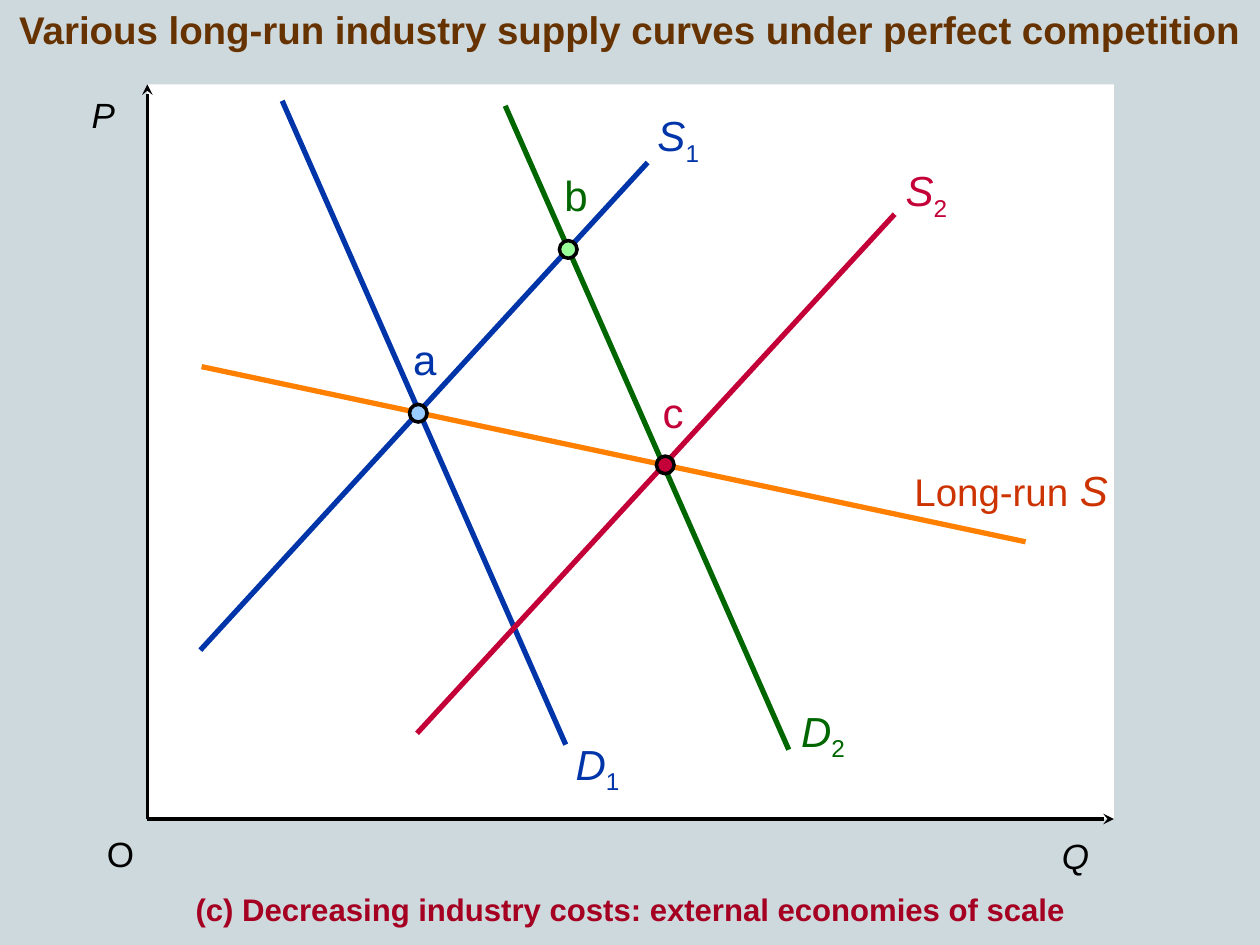
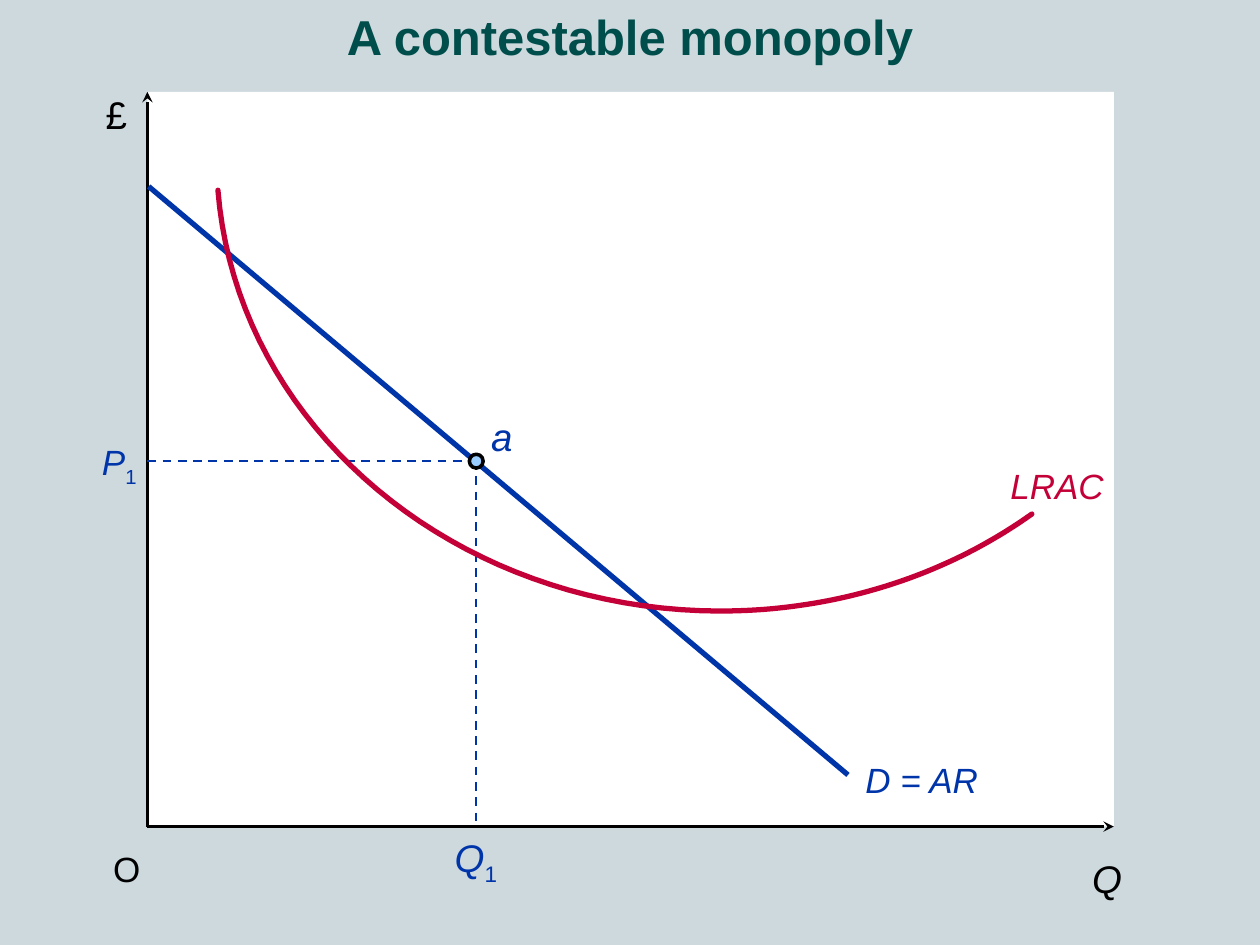
from lxml.etree import SubElement
from pptx import Presentation
from pptx.dml.color import RGBColor
from pptx.enum.dml import MSO_LINE
from pptx.enum.shapes import MSO_CONNECTOR, MSO_SHAPE
from pptx.enum.text import MSO_ANCHOR, MSO_AUTO_SIZE, PP_ALIGN
from pptx.oxml.ns import qn
from pptx.util import Inches, Pt

FONT = "Arial"
BACKGROUND = "CED9DE"
BLACK, WHITE = "000000", "FFFFFF"
BLUE, RED, GREEN = "0035AA", "C40038", "006600"
ORANGE, RUST = "FF8000", "CC3300"
LIGHT_BLUE, LIGHT_GREEN = "99CCFF", "99FF99"
PLOT_LEFT, PLOT_WIDTH, PLOT_HEIGHT = 1.17, 7.67, 5.83
CURVE_WIDTH, AXIS_WIDTH, GUIDE_WIDTH = 3, 2, 1.25
DOT_SIZE = 0.14


def color(hex_value):
    return RGBColor.from_string(hex_value)


def set_values(target, values):
    for name, value in values.items():
        setattr(target, name, value)


def add_slide(presentation):
    slide = presentation.slides.add_slide(presentation.slide_layouts[6])
    slide.background.fill.solid()
    slide.background.fill.fore_color.rgb = color(BACKGROUND)
    return slide


def style_line(line, hex_value, width):
    line.color.rgb = color(hex_value)
    line.width = Pt(width)


def add_text_shadow(run):
    fill = run._r.get_or_add_rPr().find(qn("a:solidFill"))
    effects = SubElement(fill.getparent(), qn("a:effectLst"))
    shadow = SubElement(effects, qn("a:outerShdw"), dist="25400", dir="2700000")
    SubElement(shadow, qn("a:srgbClr"), val=BLACK)
    fill.addnext(effects)


def part(text, size, hex_value, italic=False, bold=False, baseline=None):
    values = {"size": Pt(size), "italic": italic, "bold": bold}
    return text, hex_value, values, baseline


def symbol(letter, size, hex_value, subscript=None, italic=True):
    parts = [part(letter, size, hex_value, italic)]
    if subscript:
        parts.append(part(subscript, size, hex_value, baseline="-25000"))
    return parts


def add_text(slide, box, parts, wrap=False, alignment=PP_ALIGN.LEFT, shadow=False):
    shape = slide.shapes.add_textbox(*map(Inches, box))
    frame = shape.text_frame
    set_values(frame, {"word_wrap": wrap, "auto_size": MSO_AUTO_SIZE.SHAPE_TO_FIT_TEXT})
    paragraph = frame.paragraphs[0]
    paragraph.alignment = alignment
    for text, hex_value, values, baseline in parts:
        run = paragraph.add_run()
        run.text = text
        set_values(run.font, values)
        run.font.color.rgb = color(hex_value)
        if shadow:
            add_text_shadow(run)
        run.font.name = FONT
        if baseline:
            run._r.get_or_add_rPr().set("baseline", baseline)
    return frame


def add_heading(slide, text, size, hex_value, top, height):
    parts = [part(text, size, hex_value, bold=True)]
    return add_text(slide, (0, top, 10, height), parts, True, PP_ALIGN.CENTER, True)


def add_caption(slide, text):
    frame = add_heading(slide, text, 17.8, "A50021", 7.03, 0.42)
    set_values(frame, {"auto_size": MSO_AUTO_SIZE.NONE,
                       "vertical_anchor": MSO_ANCHOR.MIDDLE})
    frame.paragraphs[0].line_spacing = 0.8


def add_line(slide, start, end, hex_value, width=CURVE_WIDTH, arrow=False, dash=None):
    connector = slide.shapes.add_connector(
        MSO_CONNECTOR.STRAIGHT, *map(Inches, (*start, *end)))
    style_line(connector.line, hex_value, width)
    if dash:
        connector.line.dash_style = dash
    if arrow:
        SubElement(connector.line._get_or_add_ln(), qn("a:tailEnd"), type="stealth")
    SubElement(connector._element.spPr, qn("a:effectLst"))


def add_filled_shape(slide, kind, box, hex_value):
    shape = slide.shapes.add_shape(kind, *map(Inches, box))
    shape.shadow.inherit = False
    shape.fill.solid()
    shape.fill.fore_color.rgb = color(hex_value)
    shape.line.fill.background()
    return shape


def add_plot(slide, top):
    bottom, right = top + PLOT_HEIGHT, PLOT_LEFT + PLOT_WIDTH
    add_filled_shape(slide, MSO_SHAPE.RECTANGLE,
                     (PLOT_LEFT, top, PLOT_WIDTH, PLOT_HEIGHT), WHITE)
    for end in ((PLOT_LEFT, top), (right, bottom)):
        add_line(slide, (PLOT_LEFT, bottom), end, BLACK, AXIS_WIDTH, arrow=True)


def add_dot(slide, center, hex_value, size=DOT_SIZE):
    x, y = center
    box = (x - size / 2, y - size / 2, size, size)
    dot = add_filled_shape(slide, MSO_SHAPE.OVAL, box, hex_value)
    style_line(dot.line, BLACK, AXIS_WIDTH)


def bezier_points(controls, steps=40):
    for step in range(1, steps + 1):
        t = step / steps
        weights = ((1 - t) ** 3, 3 * t * (1 - t) ** 2, 3 * t * t * (1 - t), t ** 3)
        yield tuple(Inches(sum(w * value for w, value in zip(weights, axis)))
                    for axis in zip(*controls))


def add_curve(slide, knots, hex_value):
    builder = slide.shapes.build_freeform(*map(Inches, knots[0]))
    for first in range(0, len(knots) - 1, 3):
        builder.add_line_segments(bezier_points(knots[first:first + 4]), close=False)
    curve = builder.convert_to_shape()
    curve.shadow.inherit = False
    curve.fill.background()
    style_line(curve.line, hex_value, CURVE_WIDTH)
    curve.line._get_or_add_ln().set("cap", "rnd")


def build_industry_supply(presentation):
    slide = add_slide(presentation)
    add_plot(slide, 0.67)
    for start, end, hex_value in (
        ((1.6, 2.91), (8.14, 4.3), ORANGE),
        ((2.24, 0.8), (4.49, 5.91), BLUE),
        ((1.59, 5.16), (5.14, 1.29), BLUE),
        ((3.31, 5.82), (7.1, 1.7), RED),
        ((4.01, 0.84), (6.26, 5.95), GREEN),
    ):
        add_line(slide, start, end, hex_value)
    add_text(slide, (7.16, 3.64, 1.83, 0.5),
             [part("Long-run", 22, RUST), part(" S", 24, RUST, italic=True)])
    for letter, box, italic in (
        ("P", (0.63, 0.69, 0.47, 0.43), True),
        ("Q", (8.33, 6.57, 0.5, 0.43), True),
        ("O", (0.75, 6.56, 0.42, 0.43), False),
    ):
        add_text(slide, box, symbol(letter, 20, BLACK, italic=italic))
    for letter, subscript, left, top, width, hex_value in (
        ("S", "1", 5.12, 0.82, 0.53, BLUE),
        ("D", "1", 4.47, 5.81, 0.55, BLUE),
        ("S", "2", 7.09, 1.26, 0.53, RED),
        ("D", "2", 6.26, 5.55, 0.55, GREEN),
    ):
        add_text(slide, (left, top, width, 0.56),
                 symbol(letter, 24, hex_value, subscript))
    for letter, center, left, top, fill, hex_value in (
        ("a", (3.32, 3.28), 3.18, 2.6, LIGHT_BLUE, BLUE),
        ("b", (4.51, 1.98), 4.38, 1.3, LIGHT_GREEN, GREEN),
        ("c", (5.28, 3.69), 5.16, 3.02, RED, RED),
    ):
        add_dot(slide, center, fill)
        add_text(slide, (left, top, 0.39, 0.5),
                 symbol(letter, 24, hex_value, italic=False))
    add_heading(slide, "Various long-run industry supply curves under perfect competition",
                22, "663300", 0, 0.47)
    add_caption(slide, "(c) Decreasing industry costs: external economies of scale")


def build_contestable_monopoly(presentation):
    slide = add_slide(presentation)
    plot_top = 0.73
    equilibrium = (3.78, 3.66)
    quantity, price = equilibrium
    add_plot(slide, plot_top)
    add_line(slide, (1.18, 1.48), (6.73, 6.15), BLUE)
    for start, end in (
        ((PLOT_LEFT, price), equilibrium),
        (equilibrium, (quantity, plot_top + PLOT_HEIGHT)),
    ):
        add_line(slide, start, end, BLUE, GUIDE_WIDTH, dash=MSO_LINE.DASH)
    add_curve(slide, [(8.19, 4.08), (7.49, 4.58), (6.62, 4.85), (5.72, 4.85),
                      (3.62, 4.85), (1.88, 3.39), (1.73, 1.51)], RED)
    add_dot(slide, equilibrium, LIGHT_BLUE, 0.11)
    for box, parts in (
        ((0.8, 6.68, 0.42, 0.43), symbol("O", 20, BLACK, italic=False)),
        ((0.74, 0.67, 0.37, 0.47), symbol("£", 22, BLACK, italic=False)),
        ((8.57, 6.74, 0.44, 0.47), symbol("Q", 22, BLACK)),
        ((3.8, 3.23, 0.37, 0.47), symbol("a", 22, BLUE)),
        ((0.71, 3.45, 0.48, 0.48), symbol("P", 20, BLUE, "1")),
        ((3.51, 6.57, 0.54, 0.52), symbol("Q", 22, BLUE, "1")),
        ((6.77, 5.97, 1.57, 0.43), symbol("D = AR", 20, BLUE)),
        ((7.92, 3.64, 1.11, 0.43), symbol("LRAC", 20, RED)),
    ):
        add_text(slide, box, parts)
    add_heading(slide, "A contestable monopoly", 28, "004E4C", 0, 0.57)


def main():
    presentation = Presentation()
    set_values(presentation, {"slide_width": Inches(10), "slide_height": Inches(7.5)})
    build_industry_supply(presentation)
    build_contestable_monopoly(presentation)
    presentation.save("out.pptx")


if __name__ == "__main__":
    main()
